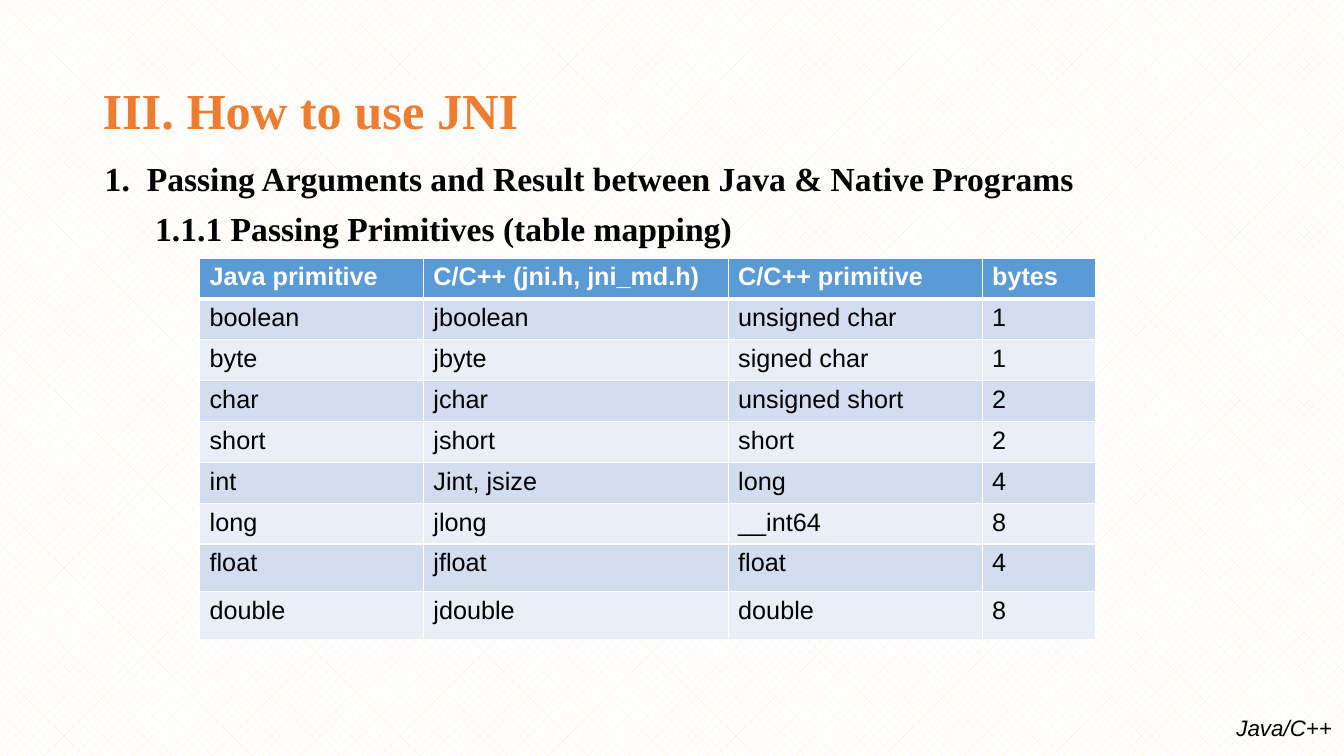
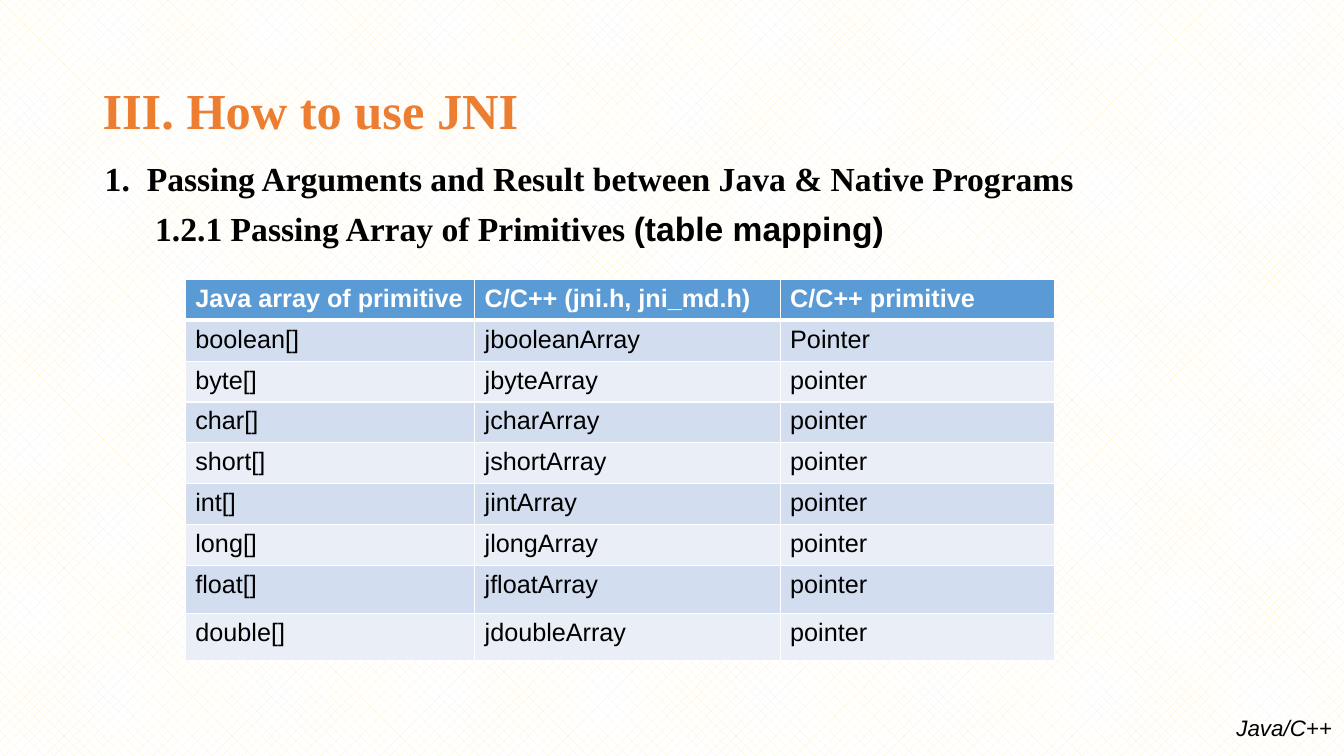
from lxml.etree import SubElement
from pptx import Presentation
from pptx.dml.color import RGBColor
from pptx.enum.dml import MSO_PATTERN
from pptx.enum.text import MSO_ANCHOR, MSO_AUTO_SIZE, PP_ALIGN
from pptx.oxml.ns import qn
from pptx.util import Cm, Pt

ORANGE = RGBColor(0xED, 0x7D, 0x31)
BLACK = RGBColor(0x00, 0x00, 0x00)
WHITE = RGBColor(0xFF, 0xFF, 0xFF)
CREAM = RGBColor(0xFF, 0xF2, 0xCC)
BLUE = RGBColor(0x5B, 0x9B, 0xD5)
BANDS = (RGBColor(0xEA, 0xEF, 0xF7), RGBColor(0xD2, 0xDE, 0xEF))
SERIF, SANS = "Times New Roman", "Arial"

TYPES = ["boolean", "byte", "char", "short", "int", "long", "float", "double"]
NATIVE_TYPES = ["unsigned char", "signed char", "unsigned short", "short",
                "long", "__int64", "float", "double"]
SIZES = ["1", "1", "2", "2", "4", "8", "4", "8"]
JNI_HEADER = "C/C++ (jni.h, jni_md.h)"

primitive_rows = [["Java primitive", JNI_HEADER, "C/C++ primitive", "bytes"]]
array_rows = [["Java array of primitive", JNI_HEADER, "C/C++ primitive"]]
for java, native, size in zip(TYPES, NATIVE_TYPES, SIZES):
    jni = "Jint, jsize" if java == "int" else f"j{java}"
    pointer = "Pointer" if java == "boolean" else "pointer"
    primitive_rows.append([java, jni, native, size])
    array_rows.append([f"{java}[]", f"j{java}Array", pointer])

# Per slide: subheading runs, table corner, column widths, rows
PAGES = [
    ([("1.1.1 Passing Primitives (table mapping)", SERIF)],
     (5.03, 6.5), (5.64, 7.68, 6.4, 2.86), primitive_rows),
    ([("1.2.1 Passing Array of Primitives ", SERIF), ("(table mapping)", SANS)],
     (4.67, 7.04), (7.29, 7.7, 6.91), array_rows),
]
ROW_HEIGHTS = [1.03] * 7 + [1.2] * 2


def write(paragraph, text, font=SANS, size=18, color=BLACK, bold=False, italic=False):
    run = paragraph.add_run()
    run.text = text
    run.font.name = font
    run.font.size = Pt(size)
    run.font.color.rgb = color
    run.font.bold = bold
    run.font.italic = italic


def add_borders(cell, **widths):
    properties = cell._tc.get_or_add_tcPr()
    for side, width in widths.items():
        line = SubElement(properties, qn(f"a:{side}"), w=str(Pt(width)))
        fill = SubElement(line, qn("a:solidFill"))
        SubElement(fill, qn("a:srgbClr"), val=str(WHITE))


prs = Presentation()
prs.slide_width, prs.slide_height = Cm(33.87), Cm(19.05)

# Shared patterned background
background = prs.slide_master.background.fill
background.patterned()
background.pattern = MSO_PATTERN.PERCENT_30
background.fore_color.rgb = CREAM
background.back_color.rgb = WHITE

for subheading, (left, top), widths, rows in PAGES:
    slide = prs.slides.add_slide(prs.slide_layouts[5])

    # Corner label
    label = slide.shapes.add_textbox(Cm(30.91), Cm(17.86), Cm(2.95), Cm(0.94)).text_frame
    label.word_wrap = False
    write(label.paragraphs[0], "Java/C++", size=16, italic=True)

    # Title
    title = slide.shapes.title
    title.left, title.top, title.width, title.height = Cm(2.33), Cm(1.01), Cm(29.21), Cm(3.68)
    title.text_frame.auto_size = MSO_AUTO_SIZE.NONE
    title.text_frame.vertical_anchor = MSO_ANCHOR.MIDDLE
    heading = title.text_frame.paragraphs[0]
    heading.alignment = PP_ALIGN.LEFT
    heading.line_spacing = 0.9
    write(heading, "III. How to use JNI", font=SERIF, size=36, color=ORANGE, bold=True)

    # Numbered topic with its indented subheading
    body = slide.shapes.add_textbox(Cm(2.39), Cm(3.96), Cm(30.28), Cm(13.18)).text_frame
    body.word_wrap = True
    topic = [("1.\tPassing Arguments and Result between Java & Native Programs", SERIF)]
    outline = [(body.paragraphs[0], topic, 1.06, -1.06),
               (body.add_paragraph(), subheading, 1.27, 0)]
    for paragraph, runs, margin, indent in outline:
        paragraph.line_spacing = 0.9
        paragraph.space_before = Pt(10)
        properties = paragraph._p.get_or_add_pPr()
        properties.set("marL", str(Cm(margin)))
        properties.set("indent", str(Cm(indent)))
        for text, font in runs:
            write(paragraph, text, font=font, size=24, bold=True)

    # Type mapping table
    mapping = slide.shapes.add_table(len(rows), len(widths), Cm(left), Cm(top),
                                     Cm(sum(widths)), Cm(sum(ROW_HEIGHTS))).table
    for column, width in zip(mapping.columns, widths):
        column.width = Cm(width)
    for r, (values, height) in enumerate(zip(rows, ROW_HEIGHTS)):
        mapping.rows[r].height = Cm(height)
        header = r == 0
        for c, value in enumerate(values):
            cell = mapping.cell(r, c)
            add_borders(cell, lnL=1, lnR=1, lnT=3 if r == 1 else 1, lnB=3 if header else 1)
            cell.fill.solid()
            cell.fill.fore_color.rgb = BLUE if header else BANDS[r % 2]
            write(cell.text_frame.paragraphs[0], value,
                  color=WHITE if header else BLACK, bold=header)

prs.save("out.pptx")
